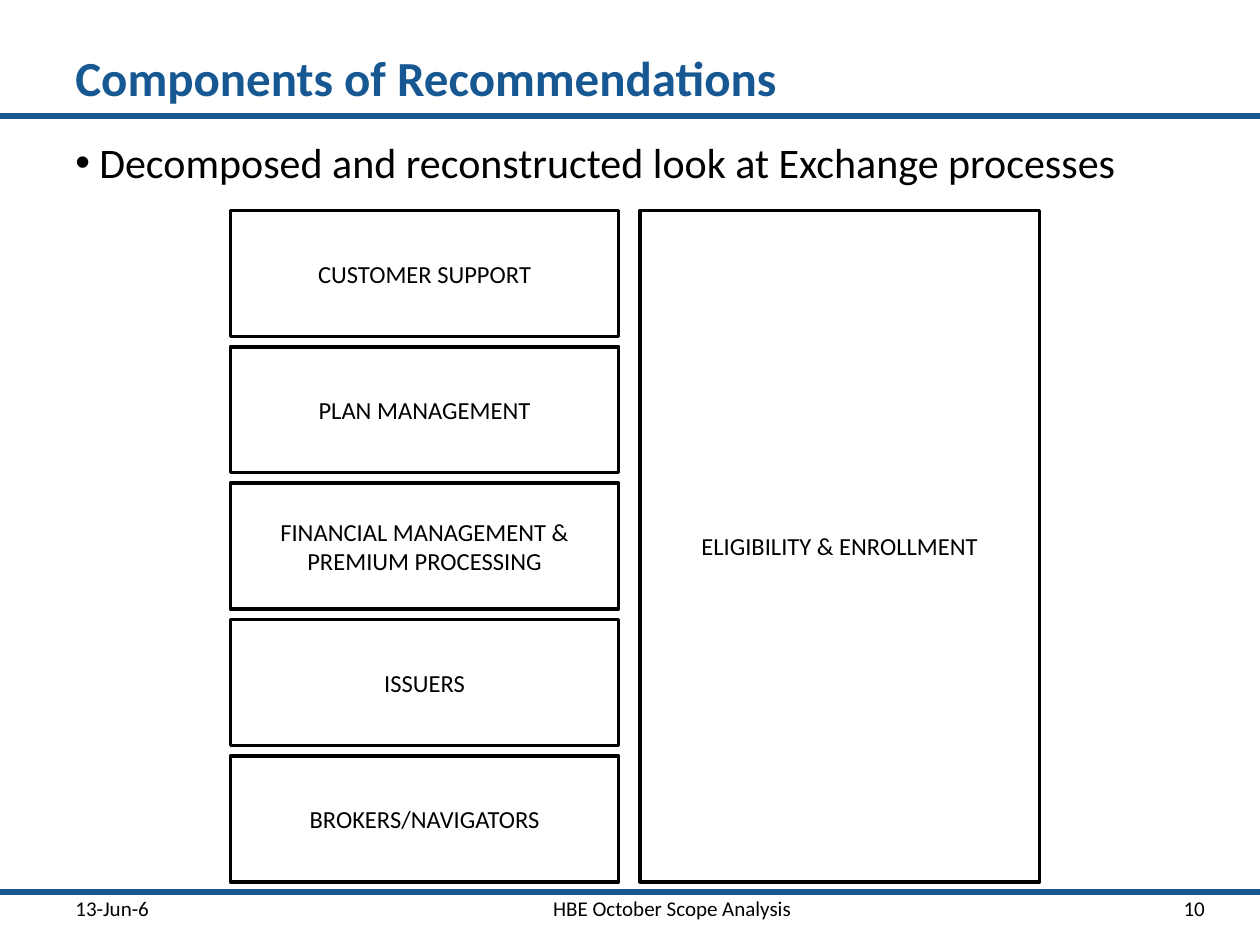
from dataclasses import dataclass

from lxml.etree import SubElement
from pptx import Presentation
from pptx.dml.color import RGBColor
from pptx.enum.shapes import MSO_CONNECTOR, MSO_SHAPE
from pptx.enum.text import MSO_ANCHOR as Anchor, PP_ALIGN as Align
from pptx.oxml.ns import qn
from pptx.util import Inches, Pt


@dataclass(frozen=True)
class Theme:
    font: str = "Calibri"
    blue: RGBColor = RGBColor(0x17, 0x58, 0x92)
    black: RGBColor = RGBColor(0, 0, 0)
    white: RGBColor = RGBColor(255, 255, 255)
    title_size: int = 28
    body_size: int = 24
    box_size: int = 14
    footer_size: int = 12
    rule_width: int = 3
    box_line_width: int = 2


THEME = Theme()
SLIDE_WIDTH, SLIDE_HEIGHT = 10, 7.5
HEADER_Y, FOOTER_Y = 0.92, 7.08
GRID_TOP, GRID_HEIGHT = 1.67, 5.33
COLUMN_LEFT, COLUMN_WIDTH, BOX_HEIGHT = 1.83, 3.08, 1
COMPONENTS = [
    "CUSTOMER SUPPORT",
    "PLAN MANAGEMENT",
    "FINANCIAL MANAGEMENT & PREMIUM PROCESSING",
    "ISSUERS",
    "BROKERS/NAVIGATORS",
]
FOOTERS = [
    (0.5, 1.08, "13-Jun-6", Align.LEFT),
    (1.75, 7.17, "HBE October Scope Analysis", Align.CENTER),
    (9.08, 0.58, "10", Align.RIGHT),
]


def write_text(shape, text, size, color=THEME.black, bold=False,
               align=Align.LEFT, anchor=Anchor.MIDDLE):
    """Fill a shape with one styled paragraph and return that paragraph."""
    frame = shape.text_frame
    frame.text = text
    frame.word_wrap = True
    frame.vertical_anchor = anchor
    paragraph = frame.paragraphs[0]
    paragraph.alignment = align
    font = paragraph.runs[0].font
    font.name, font.size, font.bold = THEME.font, Pt(size), bold
    font.color.rgb = color
    return paragraph


def add_text(slide, left, top, width, height, text, size, **style):
    box = slide.shapes.add_textbox(
        Inches(left), Inches(top), Inches(width), Inches(height))
    return write_text(box, text, size, **style)


def add_rule(slide, y):
    """Draw a blue line across the whole slide."""
    rule = slide.shapes.add_connector(
        MSO_CONNECTOR.STRAIGHT, 0, Inches(y), Inches(SLIDE_WIDTH), Inches(y))
    rule.line.color.rgb = THEME.blue
    rule.line.width = Pt(THEME.rule_width)
    SubElement(rule._element.spPr, qn("a:effectLst"))


def add_box(slide, left, top, width, height, text):
    box = slide.shapes.add_shape(
        MSO_SHAPE.RECTANGLE,
        Inches(left), Inches(top), Inches(width), Inches(height))
    box.shadow.inherit = False
    box.fill.solid()
    box.fill.fore_color.rgb = THEME.white
    box.line.color.rgb = THEME.black
    box.line.width = Pt(THEME.box_line_width)
    write_text(box, text, THEME.box_size, align=Align.CENTER)


def add_bullet(paragraph, indent):
    paragraph.line_spacing = 0.9
    paragraph.space_before = paragraph.space_after = Pt(1.2)
    properties = paragraph._p.get_or_add_pPr()
    properties.set("marL", str(Inches(indent)))
    properties.set("indent", str(-Inches(indent)))
    SubElement(properties, qn("a:buFont"), typeface="Arial")
    SubElement(properties, qn("a:buChar"), char="•")


def add_components(slide):
    pitch = (GRID_HEIGHT - BOX_HEIGHT) / (len(COMPONENTS) - 1)
    for row, name in enumerate(COMPONENTS):
        add_box(slide, COLUMN_LEFT, GRID_TOP + row * pitch,
                COLUMN_WIDTH, BOX_HEIGHT, name)
    add_box(slide, 5.08, GRID_TOP, 3.17, GRID_HEIGHT,
            "ELIGIBILITY & ENROLLMENT")


def main():
    presentation = Presentation()
    presentation.slide_width = Inches(SLIDE_WIDTH)
    presentation.slide_height = Inches(SLIDE_HEIGHT)
    slide = presentation.slides.add_slide(presentation.slide_layouts[6])

    for y in (HEADER_Y, FOOTER_Y):
        add_rule(slide, y)
    add_text(slide, 0.5, 0.3, 8, 0.62, "Components of Recommendations",
             THEME.title_size, color=THEME.blue, bold=True)
    statement = add_text(
        slide, 0.5, 1.08, 9.17, 0.58,
        "Decomposed and reconstructed look at Exchange processes",
        THEME.body_size, anchor=Anchor.TOP)
    add_bullet(statement, 0.19)
    for left, width, text, align in FOOTERS:
        add_text(slide, left, FOOTER_Y, width, 0.25, text,
                 THEME.footer_size, align=align)
    add_components(slide)

    presentation.save("out.pptx")


if __name__ == "__main__":
    main()
